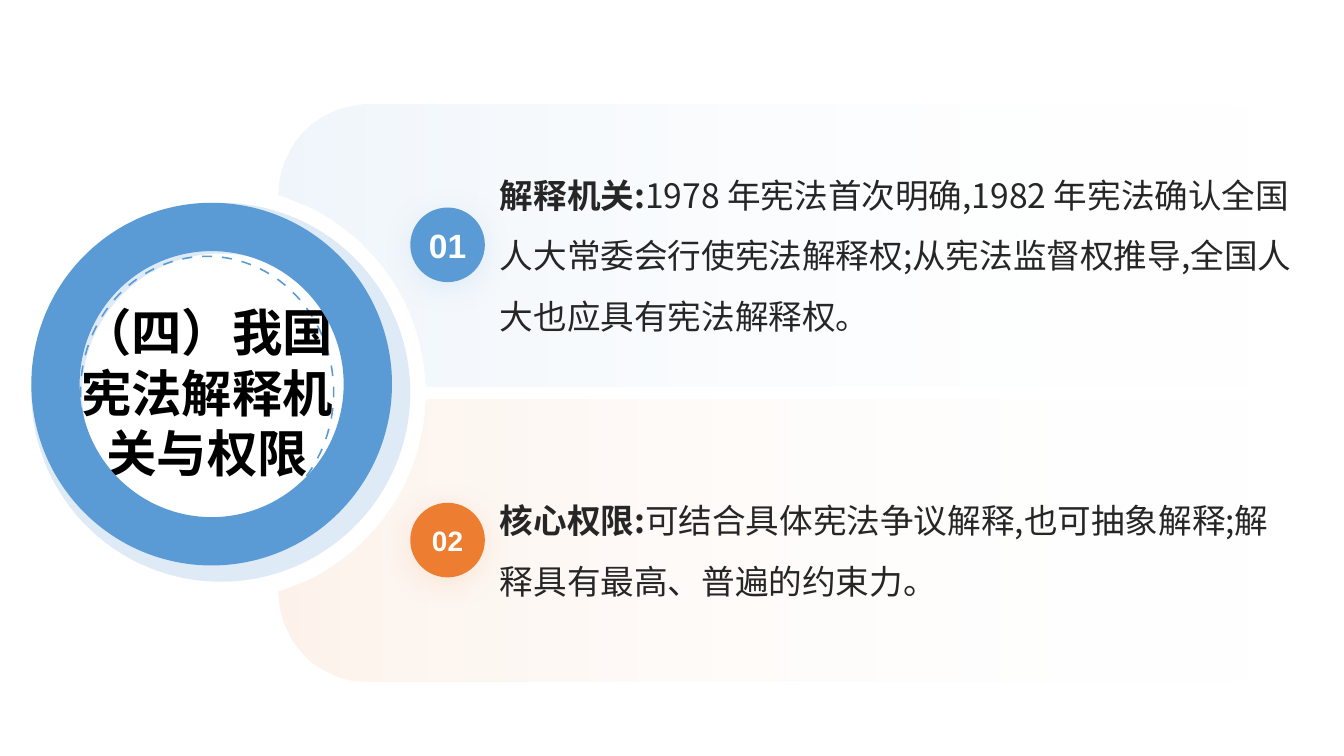
from math import cos, radians, sin

from lxml import etree
from pptx import Presentation
from pptx import util as u
from pptx.dml.color import RGBColor
from pptx.enum import shapes, text
from pptx.oxml.ns import qn

COLORS = {
    "blue": "5B9BD5",
    "orange": "ED7D31",
    "blue_shadow": "BDD7EE",
    "orange_shadow": "F8CBAD",
    "body": "262626",
    "black": "000000",
    "white": "FFFFFF",
}
CJK = "Noto Sans CJK SC"


def arc(cx, cy, rx, ry, start, end, steps=24):
    angles = [radians(start + (end - start) * i / steps) for i in range(steps + 1)]
    return [(cx + rx * cos(a), cy + ry * sin(a)) for a in angles]


class RingSlide:
    def __init__(self, deck):
        self.slide = deck.slides.add_slide(deck.slide_layouts[6])

    def rgb(self, name):
        return RGBColor.from_string(COLORS[name])

    def set_alpha(self, shape, *percents):
        colors = shape.element.spPr.iter(qn("a:srgbClr"))
        for color, percent in zip(colors, percents):
            etree.SubElement(color, qn("a:alpha"), val=str(percent * 1000))

    def plain(self, shape, color):
        shape.shadow.inherit = False
        shape.line.fill.background()
        shape.fill.solid()
        shape.fill.fore_color.rgb = self.rgb(color)
        return shape

    def outline(self, contours, color):
        points = [[(u.Cm(x), u.Cm(y)) for x, y in c] for c in contours]
        builder = self.slide.shapes.build_freeform(*points[0][0])
        for i, contour in enumerate(points):
            if i:
                builder.move_to(*contour[0])
            builder.add_line_segments(contour[1:], close=True)
        return self.plain(builder.convert_to_shape(), color)

    def label(self, shape, runs, size, color, font=CJK, insets=(0, 0, 0, 0),
              align=text.PP_ALIGN.CENTER, spacing=None, wrap=True):
        frame = shape.text_frame
        frame.word_wrap = wrap
        frame.vertical_anchor = text.MSO_ANCHOR.MIDDLE
        (frame.margin_left, frame.margin_top,
         frame.margin_right, frame.margin_bottom) = map(u.Cm, insets)
        paragraph = frame.paragraphs[0]
        paragraph.alignment = align
        paragraph.line_spacing = spacing
        paragraph.font.size = u.Pt(size)
        paragraph.font.name = font
        paragraph.font.color.rgb = self.rgb(color)
        defaults = next(shape.element.iter(qn("a:defRPr")))
        etree.SubElement(defaults, qn("a:ea"), typeface=font)
        for words, bold in runs:
            run = paragraph.add_run()
            run.text = words
            run.font.bold = bold

    def panel(self, points, color, heading, body):
        panel = self.outline([points], color)
        panel.fill.gradient()
        panel.fill.gradient_angle = 180
        for stop, name in zip(panel.fill.gradient_stops, ("white", color)):
            stop.color.rgb = self.rgb(name)
        self.set_alpha(panel, 0, 10)
        self.label(panel, [(heading, True), (body, False)], 24, "body",
                   insets=(5.59, 0.13, 0.25, 0.13),
                   align=text.PP_ALIGN.LEFT, spacing=1.5)

    def dashed_title(self, title, cx, cy, rx, ry, count=40):
        step, thickness = 360 / count, 0.04
        dashes = []
        for i in range(count):
            start, end = (i - 0.25) * step, (i + 0.25) * step
            dashes.append(arc(cx, cy, rx, ry, start, end, 2)
                          + arc(cx, cy, rx - thickness, ry - thickness, end, start, 2))
        self.label(self.outline(dashes, "blue"), [(title, True)], 36, "black")

    def ring(self, width, height):
        ring = self.slide.shapes.add_shape(
            shapes.MSO_SHAPE.DONUT, u.Cm(0.79), u.Cm(5.11), u.Cm(width), u.Cm(height))
        ring.adjustments[0] = 0.134
        return self.plain(ring, "blue")

    def badge(self, number, top, size, color):
        badge = self.slide.shapes.add_shape(
            shapes.MSO_SHAPE.OVAL, u.Cm(10.34), u.Cm(top), u.Cm(1.88), u.Cm(1.88))
        self.plain(badge, color)
        glow = etree.SubElement(
            badge.element.spPr.find(qn("a:effectLst")), qn("a:outerShdw"),
            blurRad=str(u.Pt(20)), dist=str(u.Pt(4)), dir="5400000",
            algn="t", rotWithShape="0")
        tint = etree.SubElement(glow, qn("a:srgbClr"), val=COLORS[color + "_shadow"])
        etree.SubElement(tint, qn("a:alpha"), val="40000")
        self.label(badge, [(number, True)], size, "white", font="Arial", wrap=False)


def main():
    deck = Presentation()
    deck.slide_width, deck.slide_height = u.Cm(33.87), u.Cm(19.05)
    page = RingSlide(deck)

    left, right, top, bottom, corner = 7.01, 32.97, 2.64, 9.73, 2.26
    upper = (arc(left + corner, top + corner, corner, corner, 180, 270)
             + arc(right - corner, top + corner, corner, corner, 270, 360)
             + [(right, bottom), (10.74, bottom)]
             + arc(5.56, 9.88, 5.16, 5.16, -3, -73.7))
    lower = [(x, 19.81 - y) for x, y in upper]

    page.panel(upper, "blue", "解释机关:",
               "1978 年宪法首次明确,1982 年宪法确认全国人大常委会行使宪法解释权;"
               "从宪法监督权推导,全国人大也应具有宪法解释权。")
    page.panel(lower, "orange", "核心权限:",
               "可结合具体宪法争议解释,也可抽象解释;解释具有最高、普遍的约束力。")
    page.dashed_title("（四）我国宪法解释机关与权限", 5.22, 9.88, 3.21, 3.44)
    page.set_alpha(page.ring(9.55, 9.55), 20)
    page.ring(9.09, 9.14)
    page.badge("01", 5.23, 24, "blue")
    page.badge("02", 12.67, 20, "orange")

    deck.save("out.pptx")


if __name__ == "__main__":
    main()
